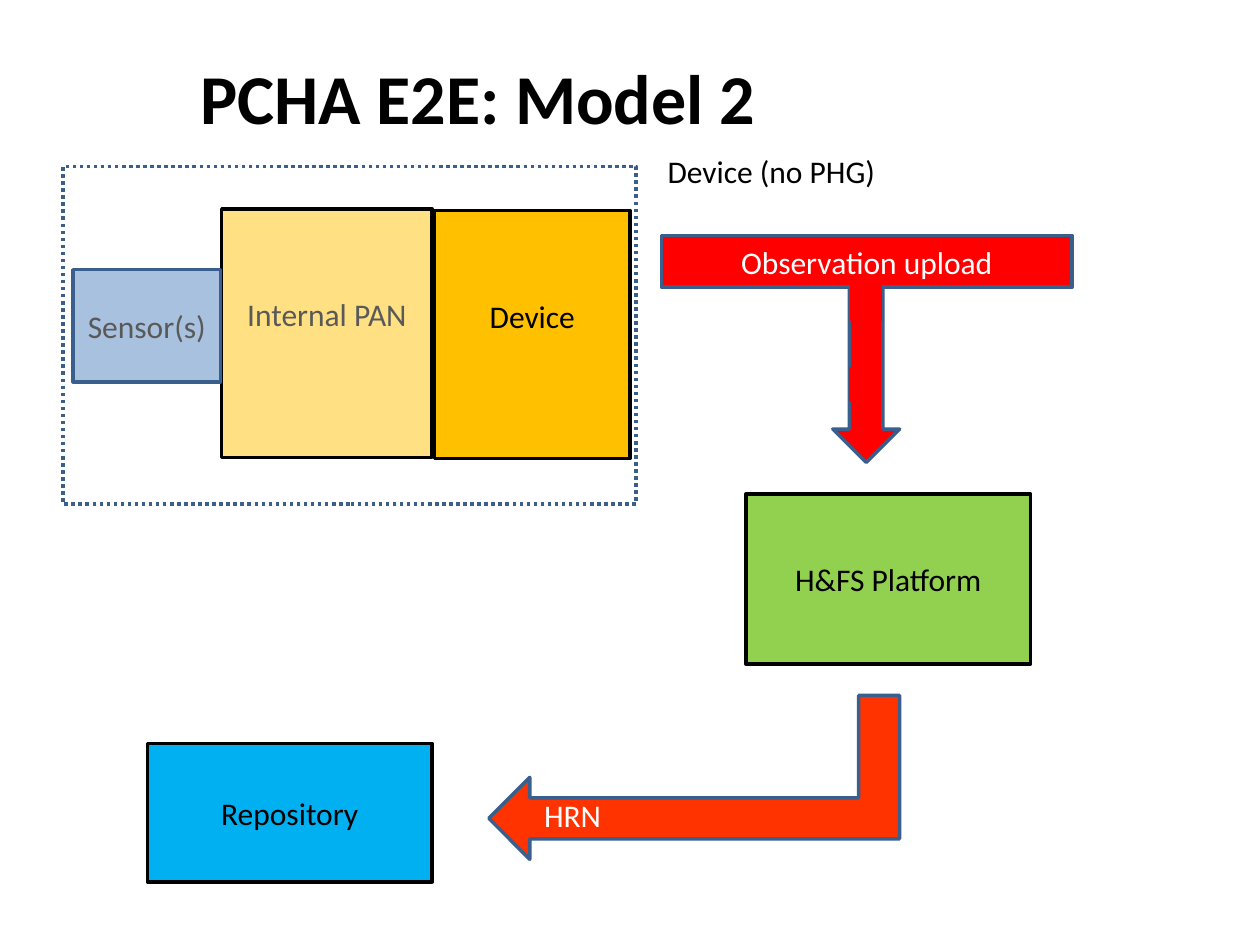
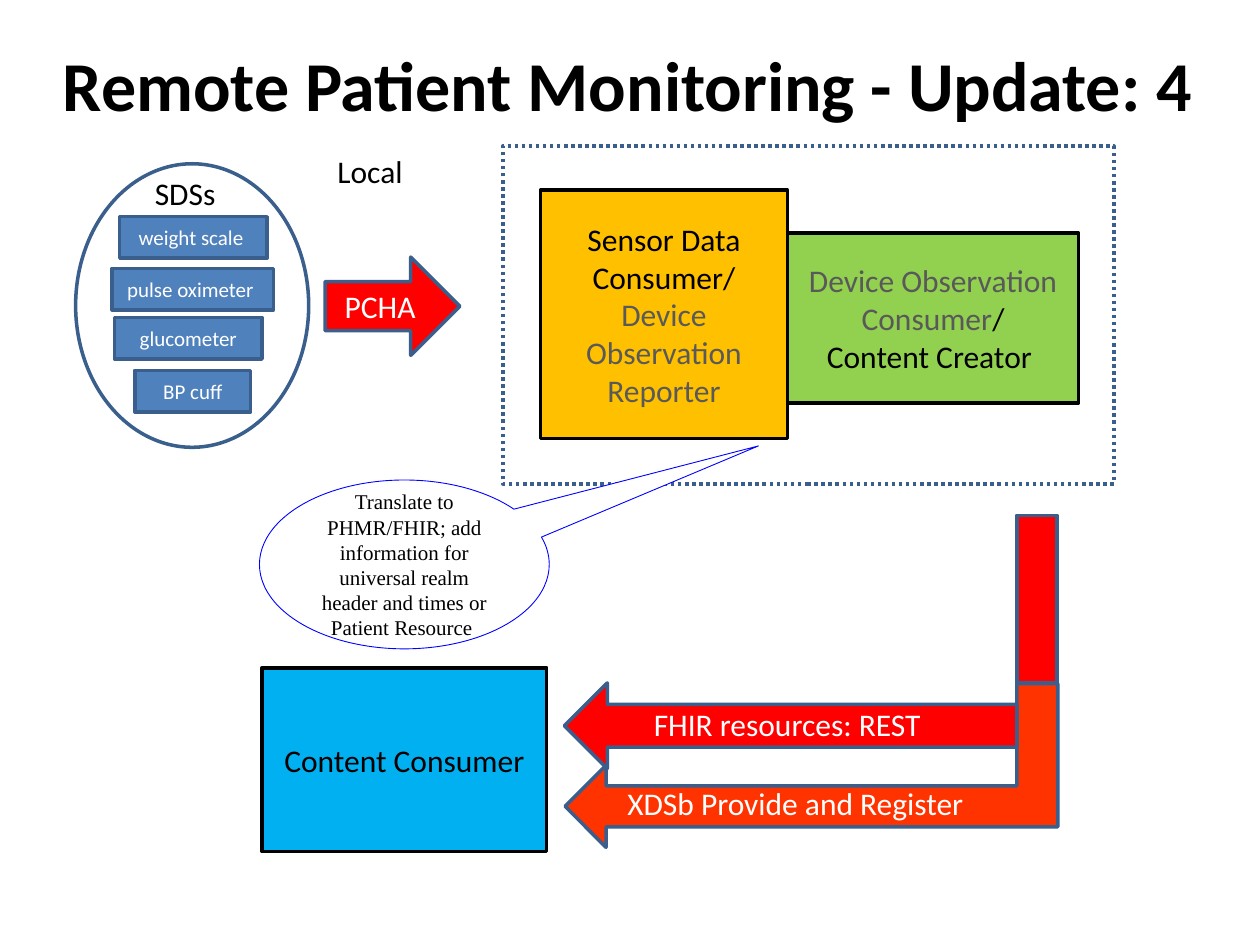
"""Build two slides of end-to-end remote monitoring diagrams."""
import pptx
import pptx.util
import pptx.dml.color
import pptx.enum.dml
import pptx.enum.shapes
import pptx.enum.text
import pptx.oxml.ns
from lxml import etree

Inches, Pt = pptx.util.Inches, pptx.util.Pt
SHAPE = pptx.enum.shapes.MSO_SHAPE

THEME = {
    "black": "000000", "white": "FFFFFF", "muted": "595959",
    "edge": "3A5F8C", "steel": "4F81BD", "amber": "FFC000",
    "green": "92D050", "sky": "00B0F0", "red": "FF0000",
    "orange": "FF3300", "blue": "0000FF",
    "font": "Calibri", "callout_font": "Times New Roman",
    "title": 40, "body": 18, "small": 12, "line": 2,
}

STYLES = {
    "amber": {"fill": "amber", "line": "black"},
    "faded_amber": {"fill": "amber", "line": "black", "alpha": 49, "color": "muted"},
    "faded_steel": {"fill": "steel", "alpha": 49, "color": "muted"},
    "green": {"fill": "green", "line": "black"},
    "sky": {"fill": "sky", "line": "black"},
    "sensor": {"fill": "steel", "color": "white", "size": "small"},
    "red": {"fill": "red", "color": "white"},
    "seam": {"fill": "red", "line": "red"},
    "orange": {"fill": "orange"},
    "outline": {},
    "frame": {"dotted": True},
    "callout": {"fill": "white", "line": "blue", "width": 0.5,
                "size": "small", "font": "callout_font"},
}

BOX, DOWN, RIGHT, LEFT = SHAPE.RECTANGLE, SHAPE.DOWN_ARROW, SHAPE.RIGHT_ARROW, SHAPE.LEFT_ARROW
OVAL, BUBBLE, BENT = SHAPE.OVAL, SHAPE.OVAL_CALLOUT, SHAPE.BENT_UP_ARROW
LABEL, GROUP = "label", "group"
RAISED = {"bottom": 0.35}
BUBBLE_TAIL = {"adjust": (1.222, -0.702)}
TURNED = {"rotation": 90, "flip": True}
WRAPPED = {"wrap": True}

SENSORS = [
    ("pulse oximeter ", 0.89, 2.13, 1.28),
    ("weight scale ", 0.95, 1.72, 1.17),
    ("BP cuff", 1.07, 2.94, 0.92),
    ("glucometer", 0.91, 2.52, 1.17),
]
SENSOR_HEIGHT = 0.33

SLIDES = [
    {
        "title": ("PCHA E2E: Model 2", (1.49, 0.38, 4.65, 0.77)),
        "items": [
            (BOX, "faded_amber", (1.76, 1.66, 1.67, 1.97), "Internal PAN", RAISED),
            (BOX, "faded_steel", (0.58, 2.14, 1.17, 0.89), "Sensor(s)"),
            (LABEL, "black", (5.2, 1.16, 1.87, 0.4), "Device (no PHG)"),
            (BOX, "green", (5.92, 3.92, 2.26, 1.35), "H&FS Platform"),
            (BOX, "sky", (1.17, 5.9, 2.26, 1.1), "Repository"),
            (BOX, "frame", (0.5, 1.32, 4.55, 2.68)),
            (GROUP, [
                (DOWN, "red", (6.61, 2.28, 0.53, 1.39)),
                (BOX, "red", (5.25, 1.87, 3.26, 0.41), "Observation upload"),
                (BOX, "seam", (6.75, 2.93, 0.23, 0.25)),
                (BOX, "seam", (6.76, 2.26, 0.23, 0.28)),
            ]),
            (GROUP, [
                (BENT, "orange", (4.86, 4.54, 1.3, 3.26), None, TURNED),
                (LABEL, "white", (4.22, 6.27, 0.66, 0.4), "HRN"),
            ]),
            (BOX, "amber", (3.45, 1.67, 1.55, 1.97), "Device", RAISED),
        ],
    },
    {
        "title": ("Remote Patient Monitoring - Update: 4", (0.4, 0.28, 9.27, 0.77)),
        "items": [
            (BOX, "amber", (4.29, 1.51, 1.96, 1.97),
             [[("Sensor Data Consumer/ ", "black"),
               ("Device Observation Reporter", "muted")]]),
            (GROUP, [
                *[(BOX, "sensor", (x, y, w, SENSOR_HEIGHT), name)
                  for name, x, y, w in SENSORS],
                (OVAL, "outline", (0.6, 1.3, 1.85, 2.25)),
                (LABEL, "black", (1.13, 1.33, 0.69, 0.4), "SDSs"),
            ]),
            (BOX, "green", (6.25, 1.85, 2.31, 1.35),
             [[("Device Observation Consumer", "muted"), ("/", "black")],
              [("Content Creator ", "black")]]),
            (BOX, "sky", (2.08, 5.3, 2.26, 1.46), "Content Consumer"),
            (BOX, "frame", (3.99, 1.16, 4.85, 2.68)),
            (LABEL, "black", (2.58, 1.16, 0.73, 0.4), "Local"),
            (RIGHT, "red", (2.58, 2.04, 1.07, 0.78), "PCHA"),
            (BUBBLE, "callout", (2.06, 3.81, 2.3, 1.34),
             "Translate to PHMR/FHIR; add information for universal realm "
             "header and times or Patient Resource ", BUBBLE_TAIL),
            (BENT, "orange", (5.79, 4.12, 1.3, 3.91), None, TURNED),
            (LABEL, "white", (4.88, 6.17, 3.55, 0.4), "XDSb Provide and Register", WRAPPED),
            (LEFT, "red", (4.48, 5.42, 3.59, 0.68)),
            (LABEL, "white", (5.09, 5.55, 2.81, 0.4), "FHIR resources: REST", WRAPPED),
            (BOX, "red", (8.07, 4.09, 0.32, 1.33)),
        ],
    },
]


def rgb(name):
    """Return the theme colour of that name."""
    return pptx.dml.color.RGBColor.from_string(THEME[name])


def write(tf, text, color, size="body", font="font", bold=False, align=None):
    """Fill a text frame from a string or from paragraphs of coloured runs."""
    paragraphs = [[(text, color)]] if isinstance(text, str) else text
    for i, runs in enumerate(paragraphs):
        p = tf.add_paragraph() if i else tf.paragraphs[0]
        p.alignment = align
        for words, run_color in runs:
            r = p.add_run()
            r.text = words
            r.font.name = THEME[font]
            r.font.size = Pt(THEME[size])
            r.font.bold = bold
            r.font.color.rgb = rgb(run_color)


def add_label(shapes, color, at, text, wrap=False, size="body", bold=False):
    """Add a text box that grows with its text."""
    tf = shapes.add_textbox(*map(Inches, at)).text_frame
    tf.word_wrap = wrap
    tf.auto_size = pptx.enum.text.MSO_AUTO_SIZE.SHAPE_TO_FIT_TEXT
    write(tf, text, color, size, bold=bold)


def add_block(shapes, kind, style, at, text=None, adjust=(), rotation=0, flip=False, bottom=0.05):
    """Add a preset shape in a named style."""
    look = STYLES[style]
    sp = shapes.add_shape(kind, *map(Inches, at))
    sp.shadow.inherit = False
    sp.rotation = rotation
    for i, value in enumerate(adjust):
        sp.adjustments[i] = value
    if flip:
        sp.element.spPr.get_or_add_xfrm().set("flipV", "1")
    if "fill" in look:
        sp.fill.solid()
        sp.fill.fore_color.rgb = rgb(look["fill"])
    else:
        sp.fill.background()
    if "alpha" in look:
        tint = sp.element.spPr.find(".//" + pptx.oxml.ns.qn("a:srgbClr"))
        etree.SubElement(tint, pptx.oxml.ns.qn("a:alpha"), val=str(look["alpha"] * 1000))
    sp.line.color.rgb = rgb(look.get("line", "edge"))
    sp.line.width = Pt(look.get("width", THEME["line"]))
    if look.get("dotted"):
        sp.line.dash_style = pptx.enum.dml.MSO_LINE.ROUND_DOT
    if text:
        tf = sp.text_frame
        tf.word_wrap = True
        tf.margin_bottom = Inches(bottom)
        tf.vertical_anchor = pptx.enum.text.MSO_ANCHOR.MIDDLE
        write(tf, text, look.get("color", "black"), look.get("size", "body"),
              look.get("font", "font"), align=pptx.enum.text.PP_ALIGN.CENTER)


def add_items(shapes, items):
    """Draw items from back to front."""
    for kind, *parts in items:
        if kind == GROUP:
            add_items(shapes.add_group_shape().shapes, parts[0])
            continue
        options = parts.pop() if isinstance(parts[-1], dict) else {}
        if kind == LABEL:
            add_label(shapes, *parts, **options)
        else:
            add_block(shapes, kind, *parts, **options)


def main():
    """Build and save the presentation."""
    prs = pptx.Presentation()
    prs.slide_width, prs.slide_height = Inches(10), Inches(7.5)
    for content in SLIDES:
        s = prs.slides.add_slide(prs.slide_layouts[6])
        title, at = content["title"]
        add_label(s.shapes, "black", at, title, size="title", bold=True)
        add_items(s.shapes, content["items"])
    prs.save("out.pptx")


if __name__ == "__main__":
    main()
